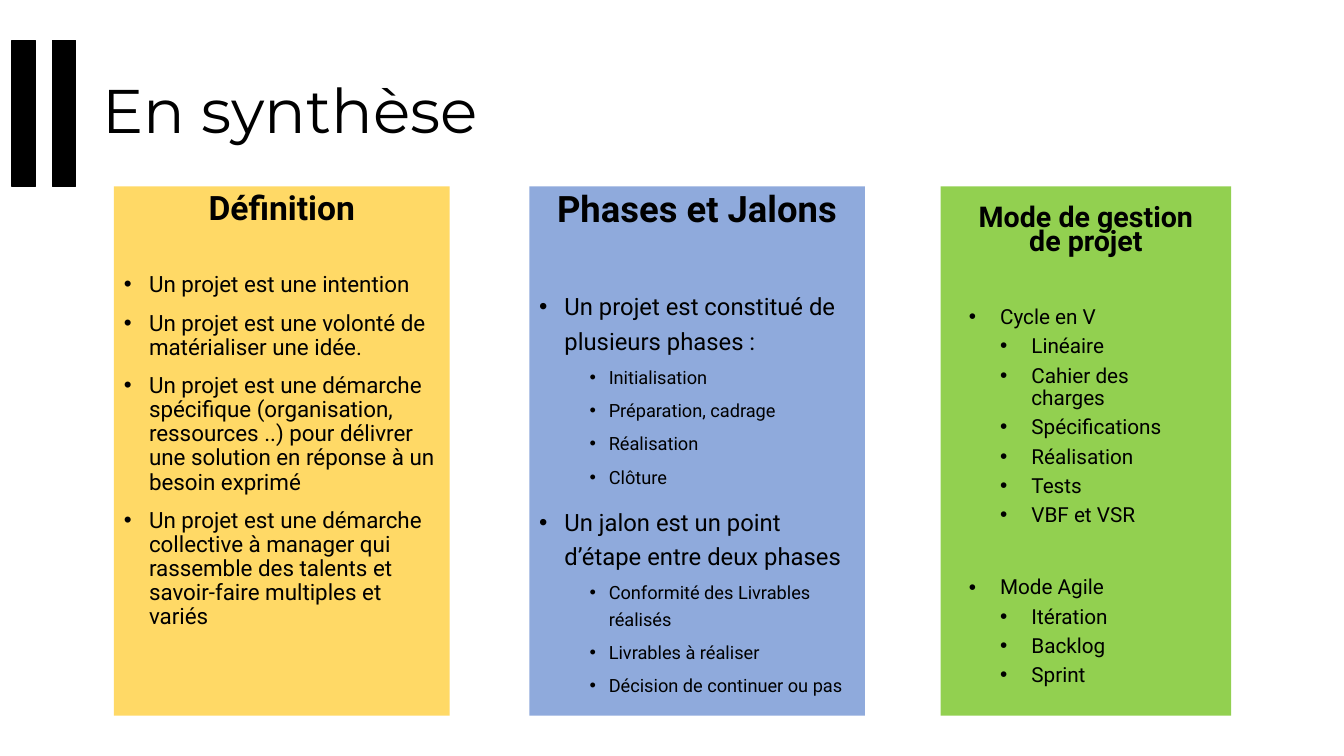
from lxml import etree
from pptx import Presentation
from pptx.dml.color import RGBColor
from pptx.enum.shapes import MSO_SHAPE
from pptx.enum.text import MSO_ANCHOR, PP_ALIGN
from pptx.oxml.ns import qn
from pptx.util import Inches, Pt

COLORS = {"ink": "000000", "yellow": "FFD966", "blue": "8FAADC", "green": "92D050"}
TITLE = "En synthèse"

# Each item is (level, text); a level is (left margin, hanging indent) in inches.
COLUMNS = [
    {
        "heading": "Définition", "heading_size": 24, "heading_spacing": 0.9,
        "left": 1.13, "width": 3.33, "fill": "yellow", "insets": (0.1, 0.05),
        "levels": [(0.25, 0.25)], "sizes": [16], "spacing": 0.9,
        "section_gaps": [32.7],
        "sections": [[
            (0, "Un projet est une intention"),
            (0, "Un projet est une volonté de matérialiser une idée."),
            (0, "Un projet est une démarche spécifique (organisation, ressources ..) "
                "pour délivrer une solution en réponse à un besoin exprimé"),
            (0, "Un projet est une démarche collective à manager qui rassemble "
                "des talents et savoir-faire multiples et variés"),
        ]],
    },
    {
        "heading": "Phases et Jalons", "heading_size": 26, "heading_spacing": 0.9,
        "left": 5.25, "width": 3.33, "fill": "blue", "insets": (0.1, 0.05),
        "levels": [(0.25, 0.25), (0.69, 0.19)], "sizes": [17, 13], "spacing": 1.2,
        "section_gaps": [39.7, 10],
        "sections": [
            [
                (0, "Un projet est constitué de plusieurs phases :"),
                (1, "Initialisation"),
                (1, "Préparation, cadrage"),
                (1, "Réalisation"),
                (1, "Clôture"),
            ],
            [
                (0, "Un jalon est un point d’étape entre deux phases"),
                (1, "Conformité des Livrables réalisés"),
                (1, "Livrables à réaliser"),
                (1, "Décision de continuer ou pas"),
            ],
        ],
    },
    {
        "heading": "Mode de gestion de projet", "heading_size": 20.4, "heading_spacing": 0.7,
        "left": 9.33, "width": 2.88, "fill": "green", "insets": (0.28, 0.22),
        "levels": [(0.31, 0.31), (0.62, 0.31)], "sizes": [14.8, 14.8], "spacing": 0.9,
        "section_gaps": [35.6, 35.6],
        "sections": [
            [
                (0, "Cycle en V"),
                (1, "Linéaire"),
                (1, "Cahier des charges"),
                (1, "Spécifications"),
                (1, "Réalisation"),
                (1, "Tests"),
                (1, "VBF et VSR"),
            ],
            [
                (0, "Mode Agile"),
                (1, "Itération"),
                (1, "Backlog"),
                (1, "Sprint"),
            ],
        ],
    },
]

COLUMN_TOP, COLUMN_HEIGHT = 1.85, 5.25
HEADER_TOP, HEADER_HEIGHT = 0.4, 1.45
BAR_LEFTS, BAR_WIDTH = (0.12, 0.52), 0.23
LEVEL_GAPS = (10, 5)


def color(name):
    return RGBColor.from_string(COLORS[name])


def add_rectangle(slide, left, top, width, height, fill, line=None):
    shape = slide.shapes.add_shape(
        MSO_SHAPE.RECTANGLE, Inches(left), Inches(top), Inches(width), Inches(height))
    shape.shadow.inherit = False
    shape.fill.solid()
    shape.fill.fore_color.rgb = color(fill)
    if line:
        shape.line.color.rgb = color(line)
        shape.line.width = Pt(1)
    else:
        shape.line.fill.background()
    return shape


def write_paragraph(paragraph, text, size, font="Roboto", bold=False, spacing=0.9,
                    before=0, align=PP_ALIGN.LEFT, level=0, indent=None):
    """Fill a paragraph; indent is (left margin, hanging indent) and adds a bullet."""
    paragraph.alignment = align
    paragraph.level = level
    paragraph.line_spacing = spacing
    if before:
        paragraph.space_before = Pt(before)
    if indent:
        margin, hanging = indent
        properties = paragraph._p.get_or_add_pPr()
        properties.set("marL", str(Inches(margin)))
        properties.set("indent", str(-Inches(hanging)))
        etree.SubElement(properties, qn("a:buFont")).set("typeface", "Arial")
        etree.SubElement(properties, qn("a:buChar")).set("char", "•")
    run = paragraph.add_run()
    run.text = text
    run.font.name = font
    run.font.size = Pt(size)
    run.font.bold = bold
    run.font.color.rgb = color("ink")


def add_title(slide):
    box = slide.shapes.add_textbox(
        Inches(0.92), Inches(HEADER_TOP), Inches(11.5), Inches(HEADER_HEIGHT))
    frame = box.text_frame
    frame.word_wrap = True
    frame.vertical_anchor = MSO_ANCHOR.MIDDLE
    write_paragraph(frame.paragraphs[0], TITLE, 44, font="Montserrat")


def add_column(slide, column):
    shape = add_rectangle(slide, column["left"], COLUMN_TOP, column["width"],
                          COLUMN_HEIGHT, column["fill"])
    frame = shape.text_frame
    frame.word_wrap = True
    frame.vertical_anchor = MSO_ANCHOR.TOP
    side, top = column["insets"]
    frame.margin_left = frame.margin_right = Inches(side)
    frame.margin_top = Inches(top)
    write_paragraph(frame.paragraphs[0], column["heading"], column["heading_size"], bold=True,
                    spacing=column["heading_spacing"], align=PP_ALIGN.CENTER)
    for gap, section in zip(column["section_gaps"], column["sections"]):
        for index, (level, text) in enumerate(section):
            write_paragraph(frame.add_paragraph(), text, column["sizes"][level],
                            spacing=column["spacing"], level=level,
                            before=LEVEL_GAPS[level] if index else gap,
                            indent=column["levels"][level])


def main():
    presentation = Presentation()
    presentation.slide_width = Inches(13.33)
    presentation.slide_height = Inches(7.5)
    slide = presentation.slides.add_slide(presentation.slide_layouts[6])
    for left in BAR_LEFTS:
        add_rectangle(slide, left, HEADER_TOP, BAR_WIDTH, HEADER_HEIGHT, "ink", line="ink")
    add_title(slide)
    for column in COLUMNS:
        add_column(slide, column)
    presentation.save("out.pptx")


if __name__ == "__main__":
    main()
